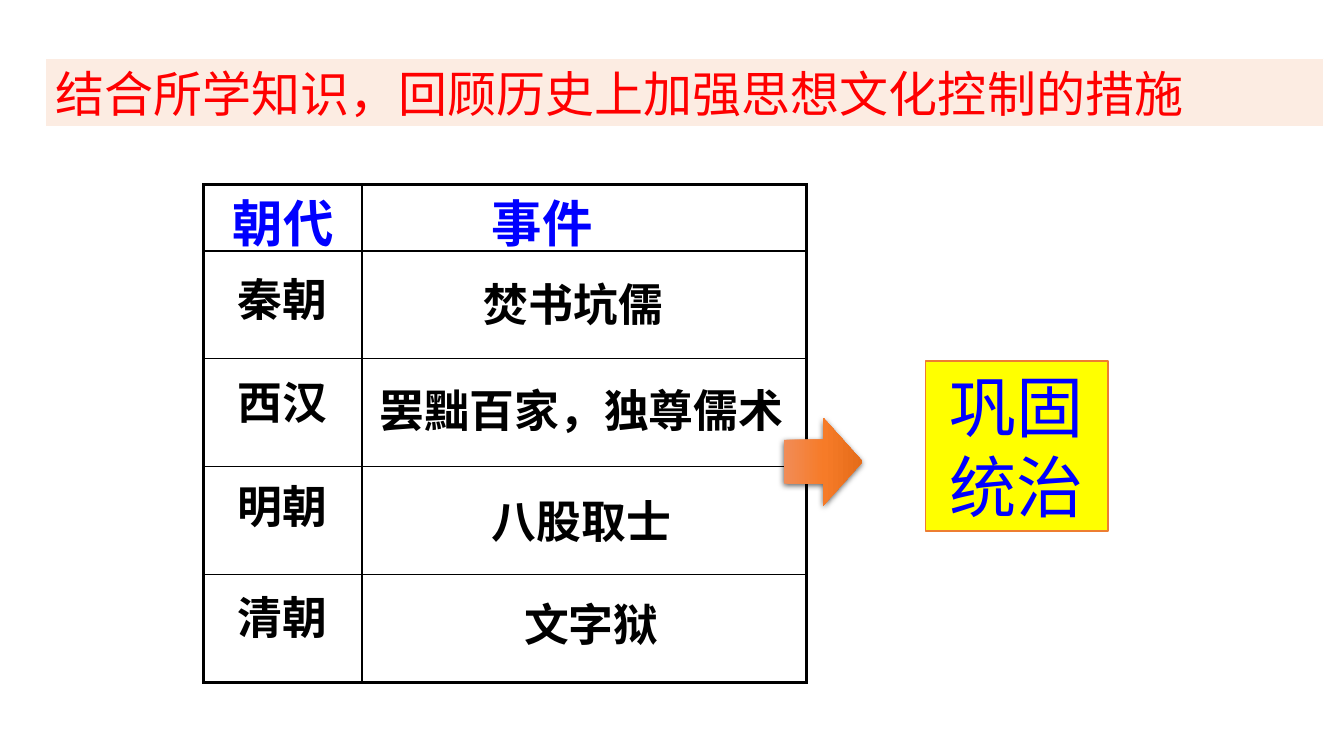
from lxml import etree
from pptx import Presentation
from pptx.dml.color import RGBColor
from pptx.enum.shapes import MSO_SHAPE as SHAPE
from pptx.enum.text import MSO_ANCHOR as ANCHOR, MSO_AUTO_SIZE as AUTO, PP_ALIGN as ALIGN
from pptx.oxml import parse_xml
from pptx.oxml.ns import nsdecls, qn
from pptx.util import Inches, Pt

RED = RGBColor(0xFF, 0x00, 0x00)
BLUE = RGBColor(0x00, 0x00, 0xFF)
BLACK = RGBColor(0x00, 0x00, 0x00)
WHITE = RGBColor(0xFF, 0xFF, 0xFF)
YELLOW = RGBColor(0xFF, 0xFF, 0x00)
PEACH = RGBColor(0xFB, 0xE5, 0xD6)
ORANGE = RGBColor(0xED, 0x7D, 0x31)
ARROW_STOPS = [
    (0, RGBColor(0xF1, 0x8C, 0x57)),
    (50, RGBColor(0xF6, 0x7B, 0x28)),
    (100, RGBColor(0xE5, 0x6C, 0x19)),
]
SERIF = "Times New Roman"
SANS = "Noto Sans CJK SC"

COLUMNS = [1.57, 4.41]
ROWS = [0.66] + [1.07] * 4
HEADERS = [("朝代", 0.19, 0.03, 1.2), ("事件", 2.76, 0.03, 1.85)]
DYNASTIES = [("秦朝", 0.82), ("西汉", 1.84), ("明朝", 2.87), ("清朝", 3.97)]
EVENTS = [
    ("焚书坑儒", 2.68, 0.87, 1.98),
    ("罢黜百家，独尊儒术", 1.65, 1.92, 4.49),
    ("八股取士", 2.76, 3.02, 1.98),
    ("文字狱", 3.08, 4.04, 1.54),
]


def write(frame, text, *, size, color, font=SERIF, bold=False, align=ALIGN.LEFT,
          anchor=ANCHOR.TOP, wrap=True, fit=AUTO.NONE, insets=(0.1, 0.05)):
    frame.auto_size = fit
    frame.word_wrap = wrap
    frame.vertical_anchor = anchor
    frame.margin_left = frame.margin_right = Inches(insets[0])
    frame.margin_top = frame.margin_bottom = Inches(insets[1])
    paragraph = frame.paragraphs[0]
    paragraph.alignment = align
    paragraph.line_spacing = 1.0
    paragraph.space_before = Pt(0)
    run = paragraph.add_run()
    run.text = text
    run.font.size = Pt(size)
    run.font.bold = bold
    run.font.name = font
    run.font.color.rgb = color
    if font == SANS:
        etree.SubElement(run.font._element, qn("a:ea"), typeface=font)


def add_heading(slide, left, top, width, height):
    heading = slide.shapes.title
    heading.left, heading.top = Inches(left), Inches(top)
    heading.width, heading.height = Inches(width), Inches(height)
    heading.fill.solid()
    heading.fill.fore_color.rgb = PEACH
    tint = heading.fill._xPr.find(qn("a:solidFill"))[0]
    etree.SubElement(tint, qn("a:alpha"), val="70000")
    heading.line.color.rgb = WHITE
    heading.line.width = Pt(1)
    write(heading.text_frame, "结合所学知识，回顾历史上加强思想文化控制的措施",
          size=35, color=RED, font=SANS, anchor=ANCHOR.MIDDLE)


def set_borders(cell, widths):
    properties = cell._tc.get_or_add_tcPr()
    for position, (side, width) in enumerate(widths.items()):
        properties.insert(position, parse_xml(
            f'<a:ln{side} {nsdecls("a")} w="{Pt(width)}">'
            f'<a:solidFill><a:srgbClr val="{BLACK}"/></a:solidFill></a:ln{side}>'))


def add_grid(slide, left, top):
    grid = slide.shapes.add_table(
        len(ROWS), len(COLUMNS), Inches(left), Inches(top),
        Inches(sum(COLUMNS)), Inches(sum(ROWS))).table
    grid.first_row = grid.horz_banding = False
    for column, width in zip(grid.columns, COLUMNS):
        column.width = Inches(width)
    for row, height in zip(grid.rows, ROWS):
        row.height = Inches(height)
    last_row, last_column = len(ROWS) - 1, len(COLUMNS) - 1
    for r in range(len(ROWS)):
        for c in range(len(COLUMNS)):
            cell = grid.cell(r, c)
            cell.fill.background()
            outer = {"L": c == 0, "R": c == last_column, "T": r == 0, "B": r == last_row}
            set_borders(cell, {side: 2.25 if edge else 1 for side, edge in outer.items()})


def add_label(slide, text, left, top, width, height, **style):
    label = slide.shapes.add_textbox(
        Inches(left), Inches(top), Inches(width), Inches(height))
    write(label.text_frame, text, bold=True, fit=AUTO.SHAPE_TO_FIT_TEXT, **style)


def add_dynasties(slide, left, top):
    add_grid(slide, left, top)
    for text, dx, dy, width in HEADERS:
        add_label(slide, text, left + dx, top + dy, width, 0.7, size=36, color=BLUE)
    for text, dy in DYNASTIES:
        add_label(slide, text, left + 0.24, top + dy, 1.09, 0.64,
                  size=32, color=BLACK, wrap=False)
    for text, dx, dy, width in EVENTS:
        add_label(slide, text, left + dx, top + dy, width, 0.64, size=32, color=BLACK)


def add_arrow(slide, left, top, width, height):
    arrow = slide.shapes.add_shape(
        SHAPE.DOWN_ARROW, Inches(left), Inches(top), Inches(width), Inches(height))
    arrow.rotation = 270
    arrow.line.fill.background()
    arrow.fill.gradient()
    arrow.fill.gradient_angle = 270
    stops = arrow._element.spPr.find(qn("a:gradFill")).find(qn("a:gsLst"))
    for stop in list(stops):
        stops.remove(stop)
    for percent, color in ARROW_STOPS:
        stop = etree.SubElement(stops, qn("a:gs"), pos=str(percent * 1000))
        etree.SubElement(stop, qn("a:srgbClr"), val=str(color))
    arrow.shadow.inherit = False
    arrow._element.spPr.find(qn("a:effectLst")).append(parse_xml(
        f'<a:outerShdw {nsdecls("a")} blurRad="{Pt(4.5)}" dist="{Pt(1.5)}" dir="5400000"'
        f' rotWithShape="0"><a:srgbClr val="{BLACK}"><a:alpha val="63000"/></a:srgbClr>'
        '</a:outerShdw>'))


def add_conclusion(slide, left, top, width, height):
    conclusion = slide.shapes.add_shape(
        SHAPE.RECTANGLE, Inches(left), Inches(top), Inches(width), Inches(height))
    conclusion.shadow.inherit = False
    conclusion.fill.solid()
    conclusion.fill.fore_color.rgb = YELLOW
    conclusion.line.color.rgb = ORANGE
    conclusion.line.width = Pt(1)
    write(conclusion.text_frame, "巩固统治", size=48, color=BLUE, font=SANS,
          align=ALIGN.CENTER, fit=AUTO.SHAPE_TO_FIT_TEXT, insets=(0.08, 0.04))


def main():
    deck = Presentation()
    deck.slide_width, deck.slide_height = Inches(13.33), Inches(7.5)
    slide = deck.slides.add_slide(deck.slide_layouts[5])
    add_heading(slide, 0.45, 0.58, 12.68, 0.68)
    add_dynasties(slide, 2.02, 1.83)
    add_arrow(slide, 7.73, 4.19, 0.87, 0.78)
    add_conclusion(slide, 9.18, 3.58, 1.81, 1.69)
    deck.save("out.pptx")


if __name__ == "__main__":
    main()
